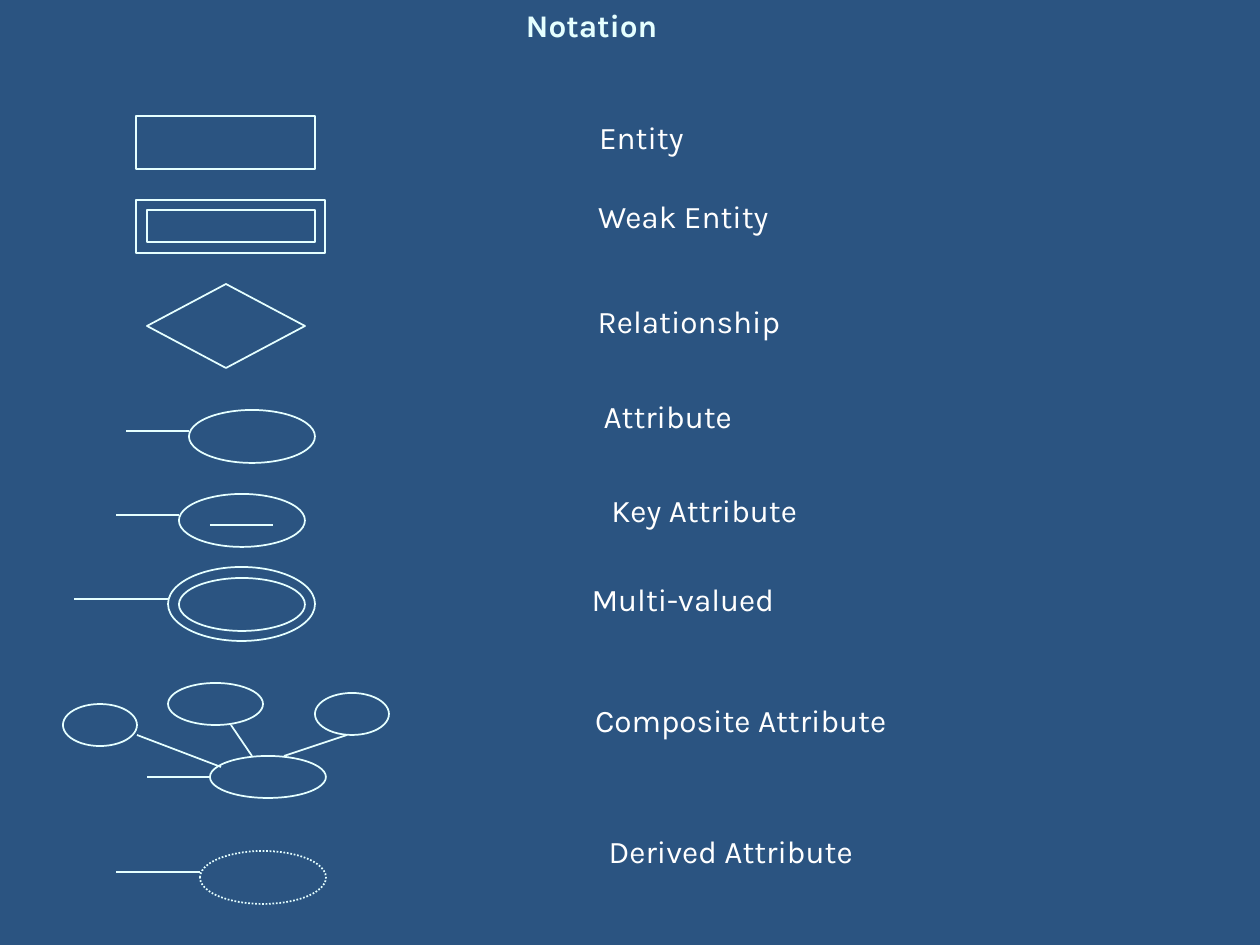
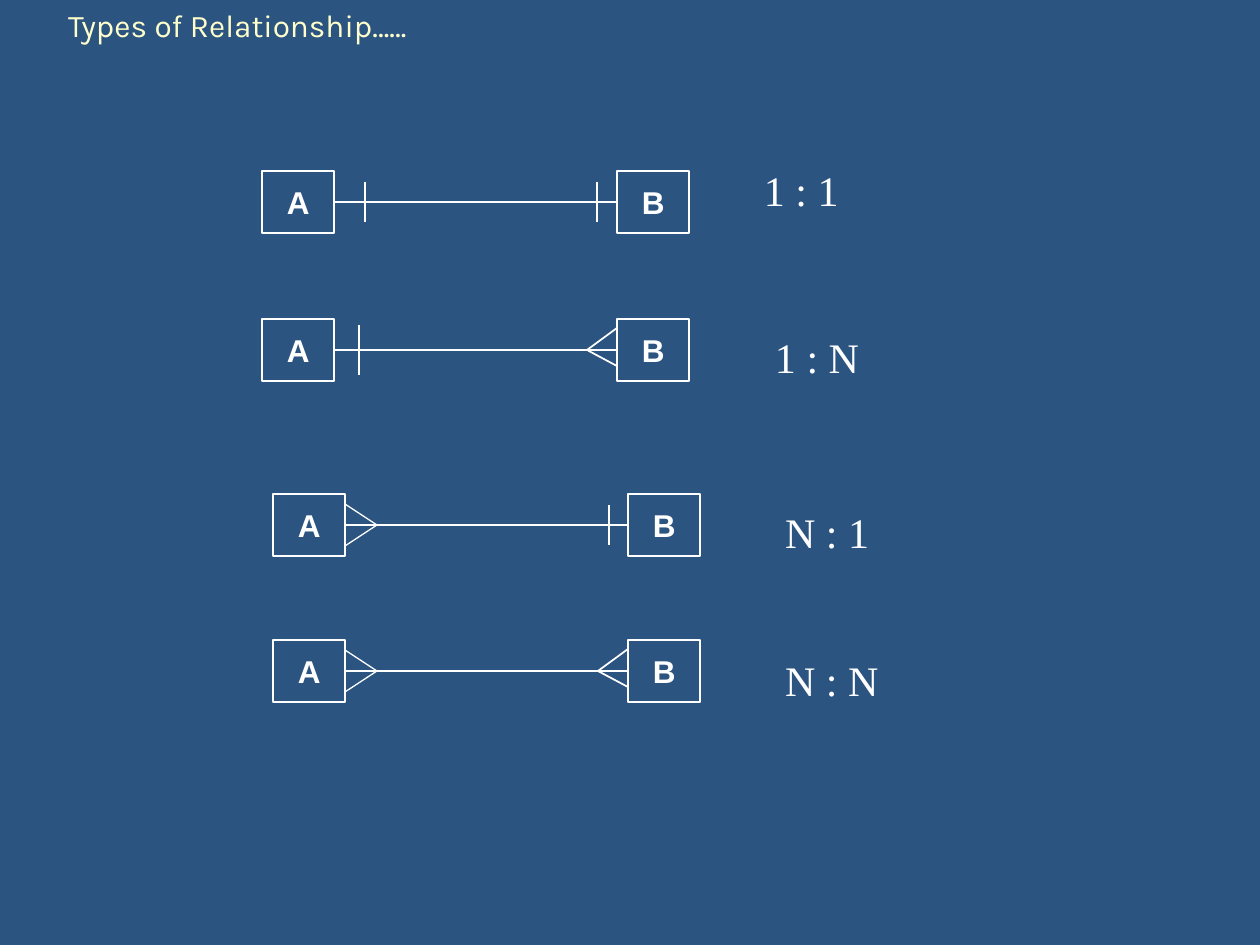
from dataclasses import dataclass
from typing import NamedTuple

from lxml import etree
from pptx import Presentation
from pptx import util as u
from pptx.dml.color import RGBColor
from pptx.enum import dml, shapes, text
from pptx.oxml.ns import qn
from pptx.shapes.autoshape import Shape
from pptx.shapes.connector import Connector
from pptx.slide import Slide

PX = 914400 / 126
NAVY, WHITE, ICE, CREAM = "2B5481", "FFFFFF", "E5FFFF", "FFFFCC"
RECT = shapes.MSO_SHAPE.RECTANGLE
OVAL = shapes.MSO_SHAPE.OVAL
DIAMOND = shapes.MSO_SHAPE.FLOWCHART_DECISION
LEFT, CENTER = text.PP_ALIGN.LEFT, text.PP_ALIGN.CENTER
TOP, MIDDLE = text.MSO_ANCHOR.TOP, text.MSO_ANCHOR.MIDDLE
BOX_WIDTH, BOX_HEIGHT, BOX_STEP = 72, 62, 355


class Frame(NamedTuple):
    left: int
    top: int
    width: int
    height: int


class Stroke(NamedTuple):
    x1: int
    y1: int
    x2: int
    y2: int


@dataclass(frozen=True)
class Symbol:
    label: str
    label_frame: Frame
    outlines: tuple[Frame, ...]
    strokes: tuple[Stroke, ...] = ()
    kind: shapes.MSO_SHAPE = OVAL
    dotted: bool = False


@dataclass(frozen=True)
class Mark:
    reach: int
    up: int
    down: int
    many: bool = False
    weight: float = 1


@dataclass(frozen=True)
class Relationship:
    ratio: str
    ratio_frame: Frame
    left: int
    top: int
    start: Mark
    end: Mark


SYMBOLS = (
    Symbol("Entity", Frame(578, 116, 126, 42), (Frame(136, 116, 179, 53),), kind=RECT),
    Symbol("Weak Entity", Frame(578, 189, 210, 53),
           (Frame(136, 200, 189, 53), Frame(147, 210, 168, 32)), kind=RECT),
    Symbol("Relationship", Frame(578, 294, 221, 53), (Frame(147, 284, 158, 84),),
           kind=DIAMOND),
    Symbol("Attribute", Frame(578, 389, 179, 53), (Frame(189, 410, 126, 53),),
           (Stroke(126, 431, 189, 431),)),
    Symbol("Key Attribute", Frame(557, 483, 294, 53), (Frame(179, 494, 126, 53),),
           (Stroke(179, 515, 116, 515), Stroke(210, 525, 273, 525))),
    Symbol("Multi-valued", Frame(567, 567, 231, 63),
           (Frame(179, 578, 126, 53), Frame(168, 567, 147, 74)),
           (Stroke(168, 599, 74, 599),)),
    Symbol("Composite Attribute", Frame(546, 693, 389, 53),
           (Frame(63, 704, 74, 42), Frame(315, 693, 74, 42),
            Frame(210, 756, 116, 42), Frame(168, 683, 95, 42)),
           (Stroke(137, 735, 221, 767), Stroke(231, 725, 252, 756),
            Stroke(210, 777, 147, 777), Stroke(284, 756, 347, 735))),
    Symbol("Derived Attribute", Frame(557, 819, 347, 63), (Frame(200, 851, 126, 53),),
           (Stroke(200, 872, 116, 872),), dotted=True),
)

MANY_START = Mark(32, 21, 21, many=True, weight=0.75)
MANY_END = Mark(30, 22, 16, many=True)
RELATIONSHIPS = (
    Relationship("1 : 1", Frame(751, 158, 99, 63), 262, 171,
                 Mark(31, 20, 20), Mark(20, 20, 20)),
    Relationship("1 : N", Frame(762, 325, 108, 63), 262, 319,
                 Mark(25, 25, 25), MANY_END),
    Relationship("N : 1", Frame(772, 500, 108, 63), 273, 494,
                 MANY_START, Mark(19, 20, 20)),
    Relationship("N : N", Frame(772, 648, 118, 63), 273, 640,
                 MANY_START, MANY_END),
)


def px(length: int) -> u.Emu:
    return u.Emu(round(length * PX))


def rgb(value: str) -> RGBColor:
    return RGBColor.from_string(value)


def write(box: Shape, words: str, *, font: str = "Karla", size: int = 18,
          color: str = WHITE, bold: bool = False, align: text.PP_ALIGN = CENTER,
          anchor: text.MSO_ANCHOR = MIDDLE, wrap: bool = False, inset: int = 13) -> None:
    frame = box.text_frame
    frame.auto_size = text.MSO_AUTO_SIZE.NONE
    frame.word_wrap = wrap
    frame.vertical_anchor = anchor
    frame.margin_left, frame.margin_right = px(inset), u.Inches(0.1)
    frame.margin_top = frame.margin_bottom = u.Inches(0.05)
    para = frame.paragraphs[0]
    para.alignment = align
    span = para.add_run()
    span.text = words
    span.font.name, span.font.size, span.font.bold = font, u.Pt(size), bold
    span.font.color.rgb = rgb(color)


def add_page(deck: Presentation, title: str, frame: Frame, *, color: str,
             bold: bool = False, inset: int = 13) -> Slide:
    page = deck.slides.add_slide(deck.slide_layouts[5])
    box = page.shapes.title
    box.left, box.top, box.width, box.height = map(px, frame)
    write(box, title, color=color, bold=bold, align=LEFT, anchor=TOP,
          wrap=True, inset=inset)
    return page


def add_label(page: Slide, words: str, frame: Frame, **style) -> None:
    write(page.shapes.add_textbox(*map(px, frame)), words, **style)


def add_outline(page: Slide, kind: shapes.MSO_SHAPE, frame: Frame, color: str,
                fill: str | None = None) -> Shape:
    box = page.shapes.add_shape(kind, *map(px, frame))
    box.shadow.inherit = False
    if fill:
        box.fill.solid()
        box.fill.fore_color.rgb = rgb(fill)
    else:
        box.fill.background()
    box.line.color.rgb = rgb(color)
    box.line.width = u.Pt(1)
    return box


def add_stroke(page: Slide, stroke: Stroke, color: str, weight: float = 1) -> Connector:
    line = page.shapes.add_connector(shapes.MSO_CONNECTOR.STRAIGHT, *map(px, stroke))
    line.line.color.rgb = rgb(color)
    line.line.width = u.Pt(weight)
    etree.SubElement(line._element.spPr, qn("a:effectLst"))
    return line


def draw_symbol(page: Slide, symbol: Symbol) -> None:
    for frame in symbol.outlines:
        outline = add_outline(page, symbol.kind, frame, ICE)
        if symbol.dotted:
            outline.line.dash_style = dml.MSO_LINE.ROUND_DOT
    for stroke in symbol.strokes:
        add_stroke(page, stroke, ICE)
    add_label(page, symbol.label, symbol.label_frame)


def draw_mark(page: Slide, mark: Mark, side: int, middle: int, direction: int) -> None:
    tip = side + direction * mark.reach
    high, low = middle - mark.up, middle + mark.down
    if mark.many:
        strokes = [Stroke(tip, middle, side, end) for end in (high, low)]
    else:
        strokes = [Stroke(tip, high, tip, low)]
    for stroke in strokes:
        add_stroke(page, stroke, WHITE, mark.weight)


def draw_relationship(page: Slide, row: Relationship) -> None:
    boxes = []
    for column, name in enumerate("AB"):
        frame = Frame(row.left + column * BOX_STEP, row.top, BOX_WIDTH, BOX_HEIGHT)
        box = add_outline(page, RECT, frame, WHITE, NAVY)
        write(box, name, font="Arial", bold=True)
        boxes.append(box)
    start, end = row.left + BOX_WIDTH, row.left + BOX_STEP
    middle = row.top + BOX_HEIGHT // 2
    link = add_stroke(page, Stroke(start, middle, end, middle), WHITE)
    link.begin_connect(boxes[0], 3)
    link.end_connect(boxes[1], 1)
    draw_mark(page, row.start, start, middle, 1)
    draw_mark(page, row.end, end, middle, -1)
    add_label(page, row.ratio, row.ratio_frame, font="Times New Roman", size=24,
              align=LEFT, anchor=TOP)


def main() -> None:
    deck = Presentation()
    deck.slide_width, deck.slide_height = px(1260), px(945)
    background = deck.slide_master.background.fill
    background.solid()
    background.fore_color.rgb = rgb(NAVY)

    notation = add_page(deck, "Notation", Frame(513, 0, 166, 50), color=ICE, bold=True)
    for symbol in SYMBOLS:
        draw_symbol(notation, symbol)

    types = add_page(deck, "Types of Relationship……", Frame(0, 0, 446, 50),
                     color=CREAM, inset=68)
    for row in RELATIONSHIPS:
        draw_relationship(types, row)

    deck.save("out.pptx")


if __name__ == "__main__":
    main()
